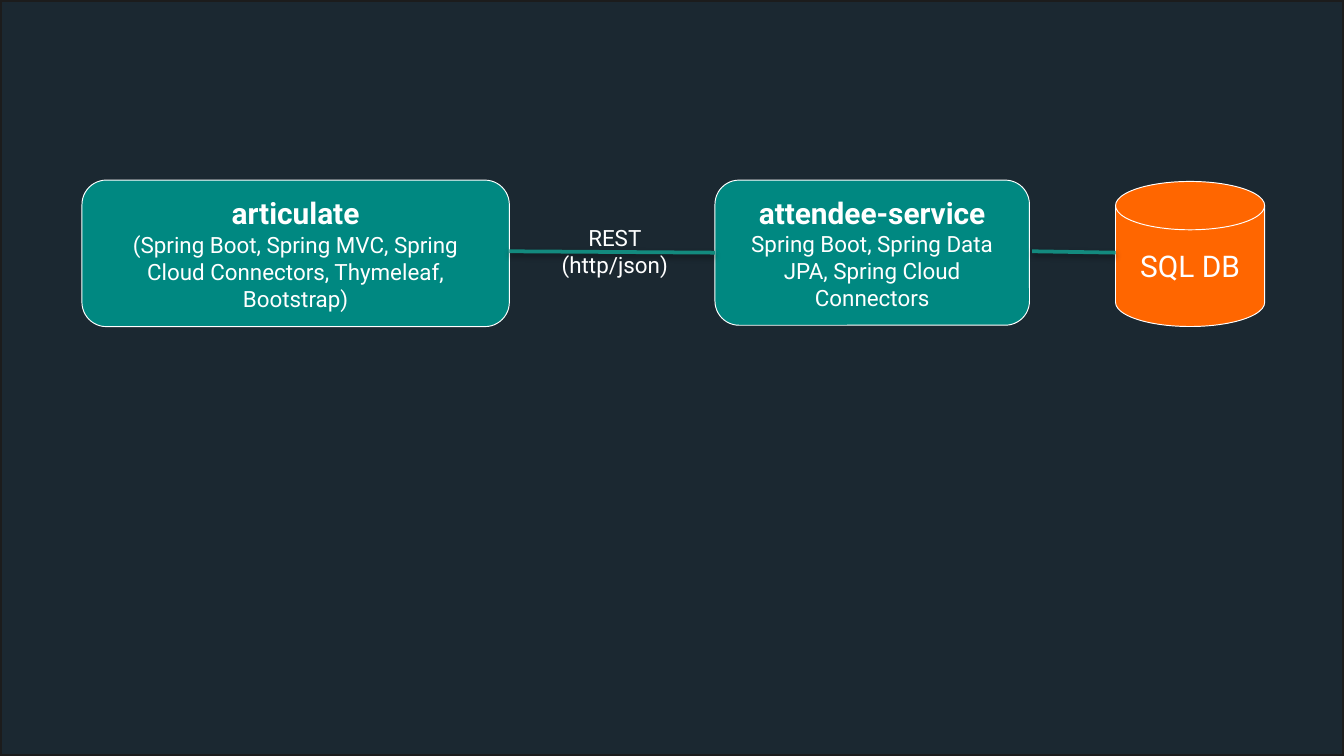
from pptx import Presentation
from pptx.dml.color import RGBColor
from pptx.enum.shapes import MSO_CONNECTOR, MSO_SHAPE
from pptx.enum.text import MSO_ANCHOR, MSO_AUTO_SIZE, PP_ALIGN
from pptx.oxml import parse_xml
from pptx.util import Inches, Pt

RECT, ROUNDED, DISK = MSO_SHAPE.RECTANGLE, MSO_SHAPE.ROUNDED_RECTANGLE, MSO_SHAPE.FLOWCHART_MAGNETIC_DISK
STRAIGHT, CENTER, MIDDLE = MSO_CONNECTOR.STRAIGHT, PP_ALIGN.CENTER, MSO_ANCHOR.MIDDLE
FIT_SHAPE = MSO_AUTO_SIZE.SHAPE_TO_FIT_TEXT

THEME = {
    "font": "Roboto", "heading": 16, "body": 12,
    "backdrop": "1B2831", "frame": "1C1C1C", "service": "008881",
    "database": "FF6600", "link": "138A7E", "text": "FFFFFF",
}
WIDTH = 10
HEIGHT = WIDTH * 9 / 16
SERVICE_TOP, LINK_TOP, LINK_DROP = 1.34, 1.87, 0.01

NODES = [
    (ROUNDED, "service", (0.61, SERVICE_TOP, 3.18, 1.09), [
        ("articulate", "heading", True),
        ("(Spring Boot, Spring MVC, Spring Cloud Connectors, Thymeleaf, Bootstrap)", "body", False)]),
    (ROUNDED, "service", (5.32, SERVICE_TOP, 2.34, 1.08), [
        ("attendee-service", "heading", True),
        ("Spring Boot, Spring Data JPA, Spring Cloud Connectors", "body", False)]),
    (DISK, "database", (8.3, 1.35, 1.11, 1.08), [("SQL DB", "heading", False)]),
]
LINK_GAPS = [0, 0.02]
PROTOCOL = [("REST", "body", False), ("(http/json)", "body", False)]
PROTOCOL_BOX = (4.04, 1.62, 1.07, 0.5)
LINK_SHADOW = (
    '<a:effectLst xmlns:a="http://schemas.openxmlformats.org/drawingml/2006/main">'
    '<a:outerShdw blurRad="39370" dist="20320" dir="5400000" rotWithShape="0">'
    '<a:srgbClr val="000000"><a:alpha val="38000"/></a:srgbClr>'
    '</a:outerShdw></a:effectLst>'
)


def color(key):
    return RGBColor.from_string(THEME[key])


def inches(box):
    return [Inches(value) for value in box]


def write(frame, lines):
    for index, (words, size, bold) in enumerate(lines):
        paragraph = frame.paragraphs[0] if index == 0 else frame.add_paragraph()
        paragraph.alignment = CENTER
        run = paragraph.add_run()
        run.text = words
        run.font.name = THEME["font"]
        run.font.size = Pt(THEME[size])
        run.font.bold = bold
        run.font.color.rgb = color("text")


def add_block(kind, box, fill, line, weight):
    block = slide.shapes.add_shape(kind, *inches(box))
    block.shadow.inherit = False
    block.fill.solid()
    block.fill.fore_color.rgb = color(fill)
    block.line.color.rgb = color(line)
    block.line.width = Pt(weight)
    return block


deck = Presentation()
deck.slide_width, deck.slide_height = inches((WIDTH, HEIGHT))
slide = deck.slides.add_slide(deck.slide_layouts[6])

add_block(RECT, (0, 0, WIDTH, HEIGHT), "backdrop", "frame", 2)

for kind, fill, box, lines in NODES:
    node = add_block(kind, box, fill, "text", 0.5)
    node.text_frame.word_wrap = True
    node.text_frame.vertical_anchor = MIDDLE
    write(node.text_frame, lines)

for (_, _, source, _), (_, _, target, _), gap in zip(NODES, NODES[1:], LINK_GAPS):
    start = source[0] + source[2] + gap
    link = slide.shapes.add_connector(
        STRAIGHT, *inches((start, LINK_TOP, target[0], LINK_TOP + LINK_DROP)))
    link.line.color.rgb = color("link")
    link.line.width = Pt(2)
    link.element.spPr.append(parse_xml(LINK_SHADOW))

protocol = slide.shapes.add_textbox(*inches(PROTOCOL_BOX)).text_frame
protocol.word_wrap = False
protocol.auto_size = FIT_SHAPE
write(protocol, PROTOCOL)

deck.save("out.pptx")
